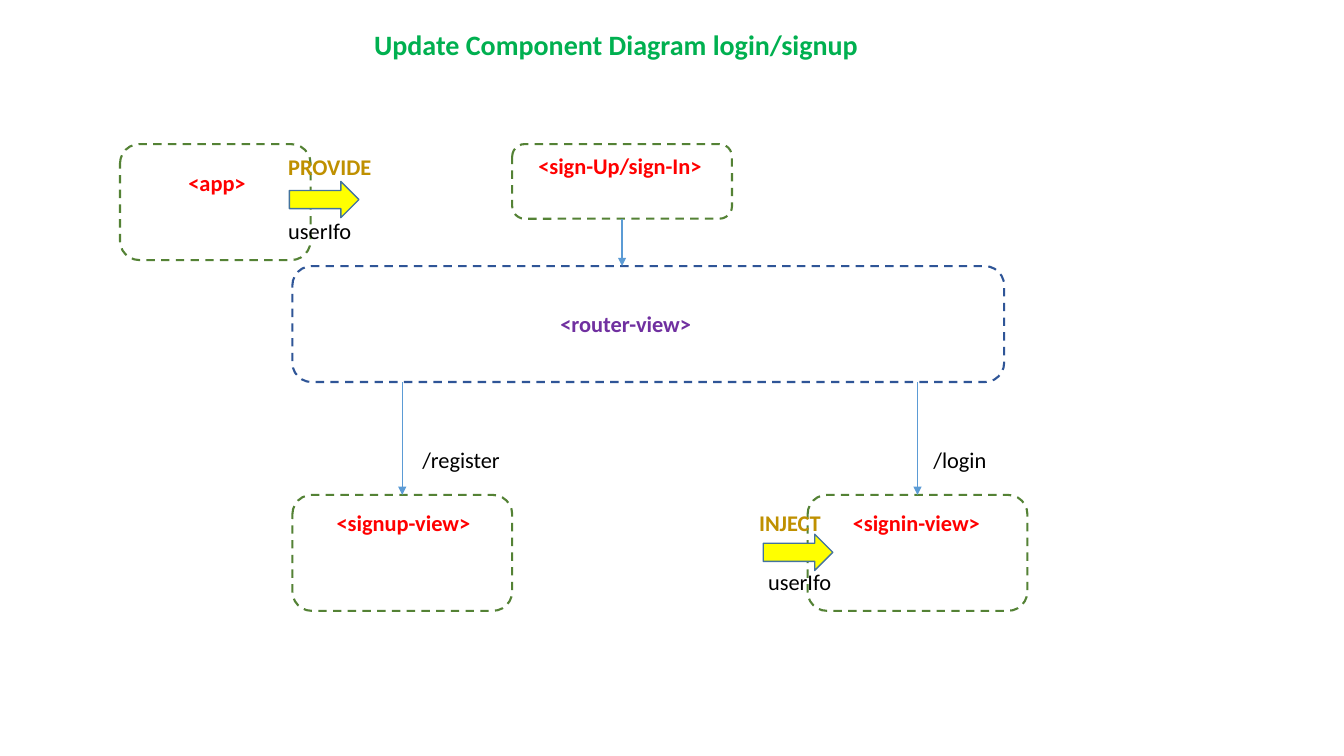
from pptx import Presentation
from pptx.dml.color import RGBColor
from pptx.enum.dml import MSO_LINE
from pptx.enum.shapes import MSO_CONNECTOR, MSO_SHAPE
from pptx.enum.text import MSO_ANCHOR, PP_ALIGN
from pptx.oxml.ns import qn
from pptx.util import Inches, Pt
from lxml.etree import SubElement

# Theme: colours, type styles (size, bold, colour) and line widths
THEME = {
    "font": "Calibri",
    "view": "548235", "router": "2F5597", "link": "5B9BD5",
    "block": "FFFF00", "edge": "43739E",
    "title": (20, True, "00B050"),
    "tag": (16, True, "FF0000"),
    "hub": (16, True, "7030A0"),
    "flow": (16, True, "BF9000"),
    "plain": (16, False, "000000"),
    "dash": 1.5, "thin": 1,
}

# Content: places are left, top, width, height in inches
TITLE = ("Update Component Diagram login/signup", (3.61, 0.22, 5.04, 0.44))
TOP, MID, LOW = 1.43, 2.64, 4.91
WIDE, TALL, TEXT = 2.18, 1.15, 0.37
BOXES = {
    "app": ("view", (1.19, TOP, 1.89, TALL)),
    "sign": ("view", (5.08, TOP, WIDE, 0.74)),
    "router": ("router", (2.9, MID, 7.06, TALL)),
    "signup": ("view", (2.9, LOW, WIDE, TALL)),
    "signin": ("view", (8.01, LOW, WIDE, TALL)),
}
# Upper box, lower box, box whose centre the link follows
LINKS = [("sign", "router", "sign"),
         ("router", "signup", "signup"),
         ("router", "signin", "signin")]
BLOCKS = [(2.87, 1.8), (7.57, 5.3)]
LABELS = [
    ("<app>", "tag", 1.77, 1.63, 1.05),
    ("<sign-Up/sign-In>", "tag", 5.24, 1.46, 1.92),
    ("<router-view>", "hub", 5.46, 3.03, 1.7),
    ("<signup-view>", "tag", 3.24, 5, 1.7),
    ("<signin-view>", "tag", 8.36, 5, 1.83),
    ("/register", "plain", 4.09, 4.38, 1.09),
    ("/login", "plain", 9.16, 4.38, 1.09),
    ("PROVIDE", "flow", 2.76, 1.47, 1.09),
    ("userIfo", "plain", 2.76, 2.11, 0.99),
    ("INJECT", "flow", 7.43, 5, 0.88),
    ("userIfo", "plain", 7.52, 5.59, 0.98),
]


def tint(name):
    return RGBColor.from_string(THEME.get(name, name))


def apply(item, values):
    for key, value in values.items():
        setattr(item, key, value)


def place(item, spot):
    names = ("left", "top", "width", "height")
    apply(item, dict(zip(names, map(Inches, spot))))


def write(item, text, style):
    size, bold, color = THEME[style]
    frame = item.text_frame
    apply(frame, {"word_wrap": True, "vertical_anchor": MSO_ANCHOR.TOP})
    para = frame.paragraphs[0]
    apply(para, {"alignment": PP_ALIGN.LEFT, "line_spacing": 1.0})
    run = para.add_run()
    run.text = text
    apply(run.font, {"name": THEME["font"], "size": Pt(size), "bold": bold})
    run.font.color.rgb = tint(color)


def stroke(item, color, width):
    item.line.color.rgb = tint(color)
    item.line.width = Pt(THEME[width])


def draw(kind, spot, color, width):
    shape = slide.shapes.add_shape(kind, *map(Inches, spot))
    shape.shadow.inherit = False
    stroke(shape, color, width)
    return shape


deck = Presentation()
apply(deck, {"slide_width": Inches(13.33), "slide_height": Inches(7.5)})
slide = deck.slides.add_slide(deck.slide_layouts[5])

# Title
text, spot = TITLE
place(slide.shapes.title, spot)
write(slide.shapes.title, text, "title")

# Component boxes
for color, spot in BOXES.values():
    box = draw(MSO_SHAPE.ROUNDED_RECTANGLE, spot, color, "dash")
    box.fill.background()
    box.line.dash_style = MSO_LINE.DASH

# Links between boxes
for upper, lower, axis in LINKS:
    left, _, width, _ = BOXES[axis][1]
    _, top, _, height = BOXES[upper][1]
    mid, end = left + width / 2, BOXES[lower][1][1]
    link = slide.shapes.add_connector(
        MSO_CONNECTOR.STRAIGHT, *map(Inches, (mid, top + height, mid, end)))
    stroke(link, "link", "thin")
    SubElement(link.line._get_or_add_ln(), qn("a:tailEnd"), type="triangle")
    SubElement(link._element.spPr, qn("a:effectLst"))

# Data flow arrows
for left, top in BLOCKS:
    block = draw(MSO_SHAPE.RIGHT_ARROW, (left, top, 0.69, 0.36), "edge", "thin")
    block.fill.solid()
    block.fill.fore_color.rgb = tint("block")

# Labels
for text, style, left, top, width in LABELS:
    spot = map(Inches, (left, top, width, TEXT))
    write(slide.shapes.add_textbox(*spot), text, style)

deck.save("out.pptx")
